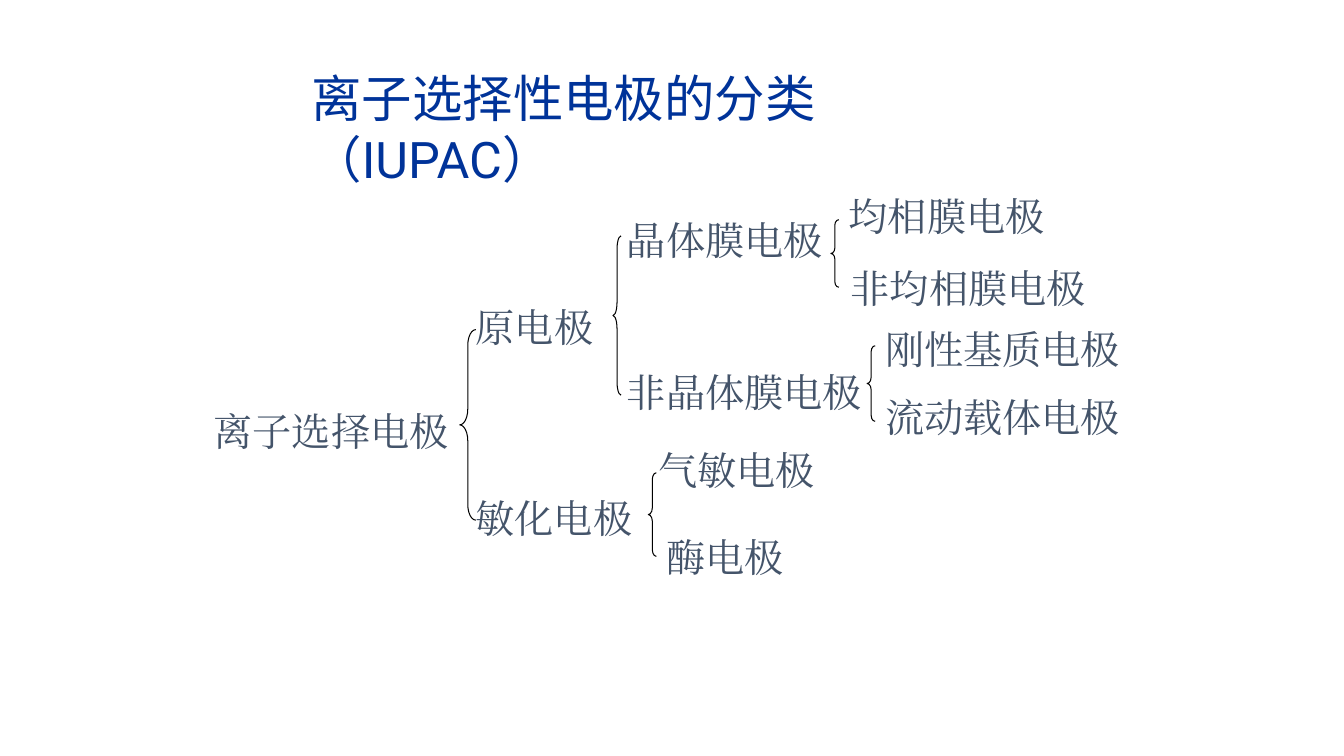
from typing import NamedTuple
from lxml.etree import SubElement as Sub
from pptx import Presentation
from pptx.dml.color import RGBColor as Rgb
from pptx.enum.shapes import MSO_SHAPE as Form
from pptx.enum.text import MSO_AUTO_SIZE as Auto
from pptx.oxml.ns import qn
from pptx.util import Emu, Inches, Pt

WIDE, HIGH = Inches(13.33), Inches(7.5)
COL, ROW = WIDE / 133.3, HIGH / 75
TITLE, LABEL, LINE = "003399", "44546A", "000000"


class Area(NamedTuple):
    col: float
    row: float
    cols: float
    rows: float


class Part(NamedTuple):
    text: str
    face: str


class Node(NamedTuple):
    text: str
    col: float
    row: float
    cols: float


class Brace(NamedTuple):
    area: Area
    bend: float


NODES = [
    Node("离子选择电极", 20.2, 39.9, 27.6),
    Node("原电极", 46.2, 29.6, 15.8),
    Node("敏化电极", 46.2, 48.5, 18),
    Node("晶体膜电极", 61.2, 21, 22.8),
    Node("非晶体膜电极", 61.2, 36, 28.3),
    Node("气敏电极", 64.3, 43.8, 20.5),
    Node("酶电极", 65.1, 52.4, 22),
    Node("均相膜电极", 83.2, 18.6, 22),
    Node("非均相膜电极", 83.4, 25.7, 25.6),
    Node("刚性基质电极", 86.8, 31.8, 27.9),
    Node("流动载体电极", 86.8, 38.5, 27.9),
]

BRACES = [
    Brace(Area(45.6, 32.7, 1.6, 18.9), 0.98),
    Brace(Area(60.8, 23.4, 0.8, 15.8), 1.62),
    Brace(Area(64.3, 46.9, 0.8, 8.3), 0.83),
    Brace(Area(82.4, 21.8, 0.8, 6.7), 0.67),
    Brace(Area(86, 34.3, 0.8, 7.5), 0.75),
]


def tint(code: str) -> Rgb:
    return Rgb.from_string(code)


def place(area: Area) -> list[Emu]:
    return [Emu(round(size)) for size in (
        area.col * COL, area.row * ROW, area.cols * COL, area.rows * ROW)]


def write(slide, area: Area, lines: list[Part], size: float, code: str) -> None:
    frame = slide.shapes.add_textbox(*place(area)).text_frame
    frame.word_wrap = True
    frame.auto_size = Auto.SHAPE_TO_FIT_TEXT
    para = frame.paragraphs[0]
    for rank, part in enumerate(lines):
        if rank:
            para.add_line_break()
        run = para.add_run()
        run.text = part.text
        font = run.font
        font.size = Pt(size)
        font.color.rgb = tint(code)
        font.name = part.face
        Sub(font._element, qn("a:ea")).set("typeface", part.face)


def embrace(slide, brace: Brace) -> None:
    shape = slide.shapes.add_shape(Form.LEFT_BRACE, *place(brace.area))
    shape.shadow.inherit = False
    shape.fill.background()
    shape.line.color.rgb = tint(LINE)
    shape.line.width = Pt(0.75)
    shape.adjustments[0] = brace.bend
    shape.adjustments[1] = 0.5


def main() -> None:
    deck = Presentation()
    deck.slide_width, deck.slide_height = WIDE, HIGH
    slide = deck.slides.add_slide(deck.slide_layouts[6])
    heading = [Part("离子选择性电极的分类", "Noto Sans CJK SC"),
               Part("（IUPAC）", "Roboto")]
    write(slide, Area(29.9, 6.2, 76.1, 7.1), heading, 36, TITLE)
    for brace in BRACES:
        embrace(slide, brace)
    for node in NODES:
        area = Area(node.col, node.row, node.cols, 5.7)
        write(slide, area, [Part(node.text, "Times New Roman")], 28, LABEL)
    deck.save("out.pptx")


if __name__ == "__main__":
    main()
